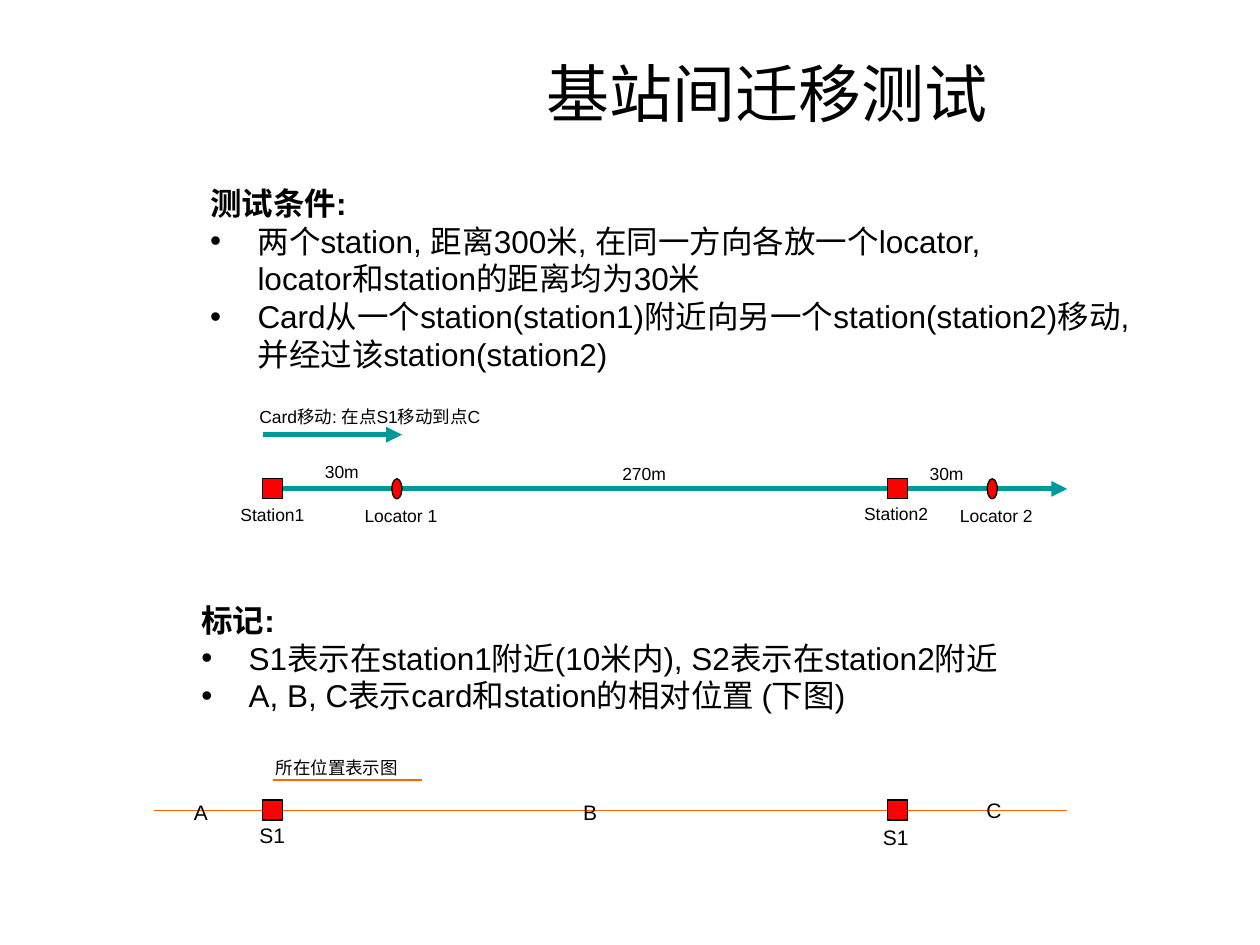
from lxml import etree
from pptx import Presentation
from pptx.dml.color import RGBColor
from pptx.enum.shapes import MSO_CONNECTOR, MSO_SHAPE
from pptx.enum.text import MSO_ANCHOR, MSO_AUTO_SIZE, PP_ALIGN
from pptx.oxml.ns import qn
from pptx.util import Inches, Pt

LINE = MSO_CONNECTOR.STRAIGHT
RECT, OVAL = MSO_SHAPE.RECTANGLE, MSO_SHAPE.OVAL
MIDDLE = MSO_ANCHOR.MIDDLE
GROW = MSO_AUTO_SIZE.SHAPE_TO_FIT_TEXT
LEFT, CENTER = PP_ALIGN.LEFT, PP_ALIGN.CENTER

BLACK = RGBColor(0x00, 0x00, 0x00)
RED = RGBColor(0xFF, 0x00, 0x00)
TEAL = RGBColor(0x00, 0x99, 0x99)
ORANGE = RGBColor(0xFF, 0x66, 0x00)


class Board:
    """Draws on one slide with a grid of 100 columns by 75 rows."""

    font = "Arial"
    hang = 3.75

    def __init__(self, deck):
        self.slide = deck.slides.add_slide(deck.slide_layouts[6])
        self.unit = deck.slide_width / 100

    def grid(self, *spans):
        return [round(span * self.unit) for span in spans]

    def style(self, para, size, bold=False, align=LEFT):
        para.alignment = align
        font = para.font
        font.name, font.size, font.bold = self.font, Pt(size), bold
        font.color.rgb = BLACK

    def frame(self, x, y, wide, high, wrap=False):
        box = self.slide.shapes.add_textbox(*self.grid(x, y, wide, high))
        box.text_frame.word_wrap = wrap
        return box.text_frame

    def title(self, text, *place):
        frame = self.frame(*place, wrap=True)
        frame.vertical_anchor = MIDDLE
        frame.text = text
        self.style(frame.paragraphs[0], 36, align=CENTER)

    def label(self, text, x, y, wide, size=10):
        frame = self.frame(x, y, wide, 2.7 if size == 10 else 3)
        frame.auto_size = GROW
        frame.text = text
        self.style(frame.paragraphs[0], size)

    def notes(self, head, items, *place):
        frame = self.frame(*place)
        frame.auto_size = GROW
        for rank, text in enumerate([head, *items]):
            para = frame.add_paragraph() if rank else frame.paragraphs[0]
            para.text = text
            props = para._p.get_or_add_pPr()
            step, = self.grid(self.hang)
            props.set("marL", str(step))
            props.set("indent", str(-step))
            if rank:
                etree.SubElement(props, qn("a:buFont"), typeface=self.font)
                etree.SubElement(props, qn("a:buChar"), char="•")
            self.style(para, 18, bold=not rank)

    def line(self, start, end, y, color, width, arrow=False):
        link = self.slide.shapes.add_connector(LINE, *self.grid(start, y, end, y))
        link.line.color.rgb, link.line.width = color, Pt(width)
        if arrow:
            etree.SubElement(link.line._get_or_add_ln(), qn("a:tailEnd"), type="triangle")
        etree.SubElement(link._element.spPr, qn("a:effectLst"))

    def mark(self, kind, x, y, wide, high=1.6):
        place = self.grid(x - wide / 2, y - high / 2, wide, high)
        shape = self.slide.shapes.add_shape(kind, *place)
        shape.shadow.inherit = False
        shape.fill.solid()
        shape.fill.fore_color.rgb = RED
        shape.line.color.rgb, shape.line.width = BLACK, Pt(0.75)


def main():
    deck = Presentation()
    deck.slide_width, deck.slide_height = Inches(10), Inches(7.5)
    board = Board(deck)
    posts = 21.65, 71.25
    road, map_row, end = 38.8, 64.3, 84.7

    board.title("基站间迁移测试", 26.7, 3, 68.3, 8.7)
    board.notes("测试条件:", [
        "两个station, 距离300米, 在同一方向各放一个locator, \nlocator和station的距离均为30米",
        "Card从一个station(station1)附近向另一个station(station2)移动, \n并经过该station(station2)",
    ], 15.7, 14.1, 79.2, 16)

    board.label("Card移动: 在点S1移动到点C", 19.6, 31.75, 21.8)
    board.line(20.9, 31.9, 34.5, TEAL, 3, arrow=True)
    board.line(posts[0], end, road, TEAL, 3, arrow=True)
    for x in (31.5, 78.75):
        board.mark(OVAL, x, road, 0.8)
    for x in posts:
        board.mark(RECT, x, road, 1.6)
    for text, x, y, wide in (
        ("Station1", 18.1, 39.5, 7.4), ("Station2", 67.6, 39.4, 7.4),
        ("Locator 1", 27.95, 39.55, 8.1), ("Locator 2", 75.2, 39.55, 8.1),
        ("30m", 24.8, 36.1, 5), ("270m", 48.4, 36.25, 5.8), ("30m", 72.8, 36.25, 5),
    ):
        board.label(text, x, y, wide)

    board.notes("标记:", [
        "S1表示在station1附近(10米内), S2表示在station2附近",
        "A, B, C表示card和station的相对位置 (下图)",
    ], 15, 47.2, 70.6, 10)

    board.label("所在位置表示图", 20.9, 59.55, 12)
    board.line(posts[0], 33.5, 61.9, ORANGE, 0.75)
    board.line(12.2, end, map_row, ORANGE, 0.75)
    for x in posts:
        board.mark(RECT, x, map_row, 1.6)
    for text, x, y, wide in (
        ("A", 14.4, 62.95, 3.4), ("B", 45.3, 63, 3.4), ("C", 77.3, 62.8, 3.5),
        ("S1", 19.6, 64.8, 4.4), ("S1", 69.1, 64.95, 4.4),
    ):
        board.label(text, x, y, wide, 12)

    deck.save("out.pptx")


if __name__ == "__main__":
    main()
